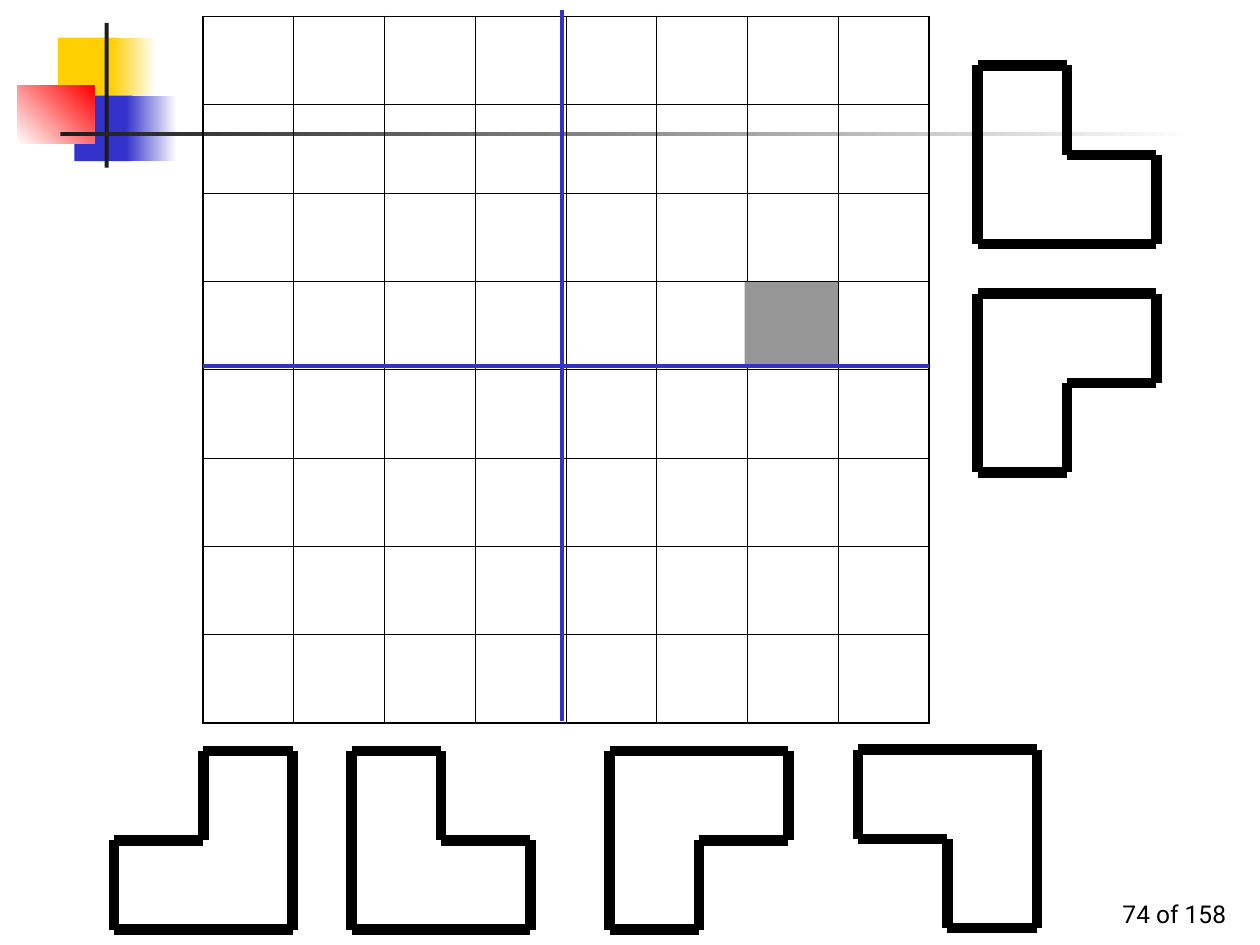
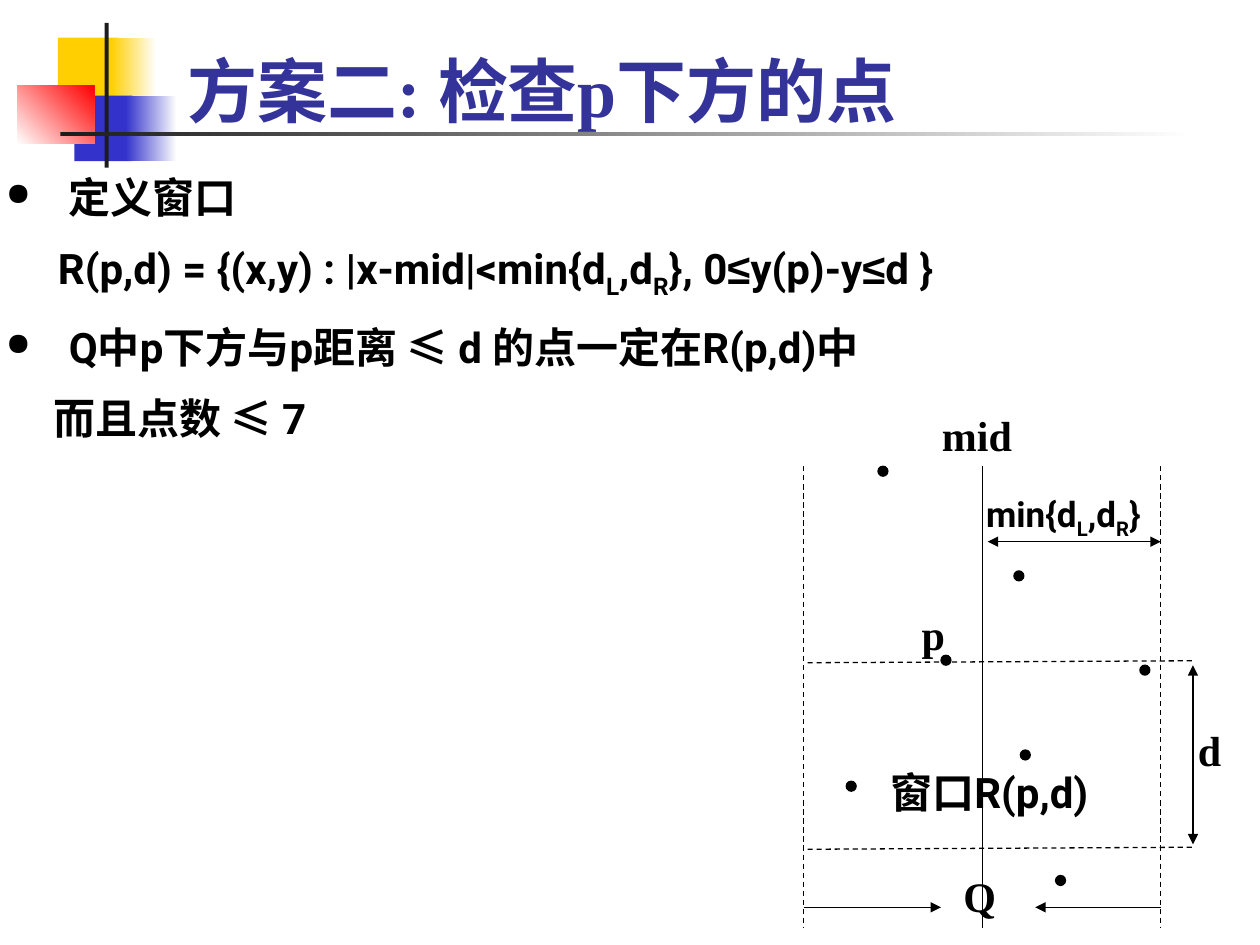
from lxml.etree import SubElement
from pptx import Presentation
from pptx.dml.color import RGBColor
from pptx.enum.dml import MSO_LINE
from pptx.enum.shapes import MSO_CONNECTOR, MSO_SHAPE
from pptx.enum.text import MSO_ANCHOR as Anchor, PP_ALIGN as Align
from pptx.oxml.ns import qn
from pptx.util import Cm, Pt

BLACK = RGBColor(0x00, 0x00, 0x00)
WHITE = RGBColor(0xFF, 0xFF, 0xFF)
YELLOW = RGBColor(0xFF, 0xCF, 0x01)
BLUE = RGBColor(0x33, 0x33, 0xCC)
RED = RGBColor(0xFF, 0x00, 0x00)
CHARCOAL = RGBColor(0x1C, 0x1C, 0x1C)
GRAY = RGBColor(0x96, 0x96, 0x96)
TITLE_BLUE = RGBColor(0x33, 0x33, 0x99)

SANS, SERIF, SYMBOL = "Roboto", "Times New Roman", "Arial"
SUBSCRIPTS = ("L", "R")

GRID = 8
CELL_WIDTH, CELL_HEIGHT = 1.83, 1.78
TROMINO_UNIT = 1.8
TOP_LEFT, TOP_RIGHT, BOTTOM_RIGHT, BOTTOM_LEFT = range(4)
TROMINOES = [
    (2.3, 15.14, TOP_LEFT),
    (7.09, 15.14, TOP_RIGHT),
    (12.29, 15.14, BOTTOM_RIGHT),
    (17.3, 15.11, BOTTOM_LEFT),
    (19.71, 5.92, BOTTOM_RIGHT),
    (19.71, 1.32, TOP_RIGHT),
]

DOT_SIZE = 0.2
WINDOW_POINTS = [
    (0.86, 6.35), (2.77, 3.81), (5.08, 8.25), (1.5, 0),
    (4.24, 2.11), (6.78, 4.01), (4.37, 5.72),
]
WINDOW_LABELS = [
    (2.97, 8.02, 1.37, ["Q"], SERIF, 24),
    (2.54, -1.27, 2.13, ["mid"], SERIF, 24),
    (7.7, 5.08, 1.19, ["d"], SERIF, 24),
    (2.13, 2.74, 1.19, ["p"], SERIF, 24),
    (3.43, 0.41, 4.04, ["min{d", "L", ",d", "R", "}"], SANS, 20),
    (1.5, 5.92, 4.85, ["窗口R(p,d)"], SANS, 24),
]
DEFINITION = [
    (None, ["定义窗口"]),
    (1.05, ["R(p,d) = {(x,y) : |x-mid|<min{d", "L", ",d", "R", "}, 0", "≤",
            "y(p)-y", "≤", "d }"]),
    (None, ["Q中p下方与p距离 ", "≤ ", "d 的点一定在R(p,d)中"]),
    (0.95, ["而且点数 ", "≤ ", "7"]),
]


def add_block(page, left, top, width, height, color, fade_to=None, angle=0,
              kind=MSO_SHAPE.RECTANGLE):
    """Add a borderless shape, plain or fading into a second colour."""
    block = page.shapes.add_shape(kind, Cm(left), Cm(top), Cm(width), Cm(height))
    block.shadow.inherit = False
    block.line.fill.background()
    if fade_to is None:
        block.fill.solid()
        block.fill.fore_color.rgb = color
    else:
        block.fill.gradient()
        block.fill.gradient_angle = angle
        for stop, shade in zip(block.fill.gradient_stops, (color, fade_to)):
            stop.color.rgb = shade
    return block


def add_line(shapes, start, end, color=BLACK, weight=0.75, dashed=False,
             head=False, tail=False):
    """Add a straight line with optional dashes and arrowheads."""
    line = shapes.add_connector(MSO_CONNECTOR.STRAIGHT,
                                *(Cm(value) for value in (*start, *end)))
    line.line.color.rgb = color
    line.line.width = Pt(weight)
    if dashed:
        line.line.dash_style = MSO_LINE.DASH
    properties = line._element.spPr
    for tag, wanted in (("a:headEnd", head), ("a:tailEnd", tail)):
        if wanted:
            SubElement(properties.find(qn("a:ln")), qn(tag), type="triangle")
    SubElement(properties, qn("a:effectLst"))


def add_box(page, left, top, width, height, anchor=Anchor.TOP):
    """Add an empty wrapping text box and return its frame."""
    box = page.shapes.add_textbox(Cm(left), Cm(top), Cm(width), Cm(height))
    box.text_frame.word_wrap = True
    box.text_frame.vertical_anchor = anchor
    return box.text_frame


def write(para, pieces, name, size, color=BLACK, bold=True):
    """Fill a paragraph, lowering index letters and setting ≤ in its own font."""
    para.font.name = name
    para.font.size = Pt(size)
    para.font.bold = bold
    para.font.color.rgb = color
    for piece in pieces:
        span = para.add_run()
        span.text = piece
        if piece in SUBSCRIPTS:
            span._r.get_or_add_rPr().set("baseline", "-25000")
        if piece.startswith("≤"):
            span.font.name = SYMBOL


def add_emblem(page):
    """Draw the coloured squares and crossing bars every slide carries."""
    add_block(page, 1.17, 0.76, 1.22, 1.32, YELLOW)
    add_block(page, 2.24, 0.76, 0.91, 1.32, YELLOW, WHITE)
    add_block(page, 1.5, 1.93, 1.17, 1.32, BLUE)
    add_block(page, 2.54, 1.93, 1.02, 1.32, BLUE, WHITE)
    add_block(page, 0.35, 1.73, 1.55, 1.17, WHITE, RED, 45)
    add_block(page, 2.11, 0.46, 0.08, 2.92, CHARCOAL)
    add_block(page, 1.22, 2.66, 22.86, 0.08, CHARCOAL, WHITE)


def set_borders(cell, row, column):
    """Give a cell thin borders, thicker along the edge of the board."""
    edges = {"L": column == 0, "R": column == GRID - 1,
             "T": row == 0, "B": row == GRID - 1}
    properties = cell._tc.get_or_add_tcPr()
    for side, outer in edges.items():
        border = SubElement(properties, qn(f"a:ln{side}"),
                            w=str(Pt(1.08 if outer else 0.45)))
        fill = SubElement(border, qn("a:solidFill"))
        SubElement(fill, qn("a:srgbClr"), val=str(BLACK))


def add_board(page, left, top):
    """Draw the chessboard, its special square and the halving lines."""
    width, height = GRID * CELL_WIDTH, GRID * CELL_HEIGHT
    table = page.shapes.add_table(GRID, GRID, Cm(left), Cm(top),
                                  Cm(width), Cm(height)).table
    table.first_row = table.horz_banding = False
    for column in table.columns:
        column.width = Cm(CELL_WIDTH)
    for row_index, row in enumerate(table.rows):
        row.height = Cm(CELL_HEIGHT)
        for column_index, cell in enumerate(row.cells):
            set_borders(cell, row_index, column_index)
            cell.fill.background()
    middle_x, middle_y = left + 7.23, top + 7.04
    add_line(page.shapes, (middle_x, top - 0.13), (middle_x, top + 14.2), BLUE, 2.25)
    add_block(page, left + 10.92, top + 5.36, 1.88, 1.73, GRAY)
    add_line(page.shapes, (left, middle_y), (left + width, middle_y), BLUE, 2.25)


def add_tromino(page, left, top, missing):
    """Outline a two by two square that lacks one corner cell."""
    corners = [(0, 0), (2, 0), (2, 2), (0, 2)]
    before, corner, after = (corners[(missing + step) % 4] for step in (-1, 0, 1))
    notch = [tuple((a + b) / 2 for a, b in zip(corner, other))
             for other in (before, after)]
    outline = corners[:missing] + [notch[0], (1, 1), notch[1]] + corners[missing + 1:]
    points = [(left + x * TROMINO_UNIT, top + y * TROMINO_UNIT) for x, y in outline]
    group = page.shapes.add_group_shape()
    for start, end in zip(points, points[1:] + points[:1]):
        add_line(group.shapes, start, end, weight=6)


def add_page_number(page, text):
    """Write the page count in the lower right corner."""
    para = add_box(page, 19.69, 17.58, 5.28, 1.27, Anchor.BOTTOM).paragraphs[0]
    para.alignment = Align.RIGHT
    write(para, [text], SANS, 14, bold=False)


def add_title(page, text):
    """Write the slide title above the long bar."""
    frame = add_box(page, 3.53, 0.43, 21.64, 2.34, Anchor.BOTTOM)
    write(frame.paragraphs[0], [text], SERIF, 40, TITLE_BLUE)


def add_definition(page, left, top):
    """Write the bulleted definition with its indented follow-up lines."""
    frame = add_box(page, left, top, 24.08, 5.74)
    for index, (indent, pieces) in enumerate(DEFINITION):
        para = frame.add_paragraph() if index else frame.paragraphs[0]
        properties = para._p.get_or_add_pPr()
        if indent is None:
            properties.set("marL", str(Cm(1.27)))
            properties.set("indent", str(Cm(-1.27)))
            color = SubElement(properties, qn("a:buClr"))
            SubElement(color, qn("a:srgbClr"), val=str(BLACK))
            SubElement(properties, qn("a:buSzPct"), val="75000")
            SubElement(properties, qn("a:buChar"), char="●")
        else:
            properties.set("marL", str(Cm(indent)))
            properties.set("indent", "0")
        para.space_before = Pt(6 if index else 0)
        para.space_after = Pt(6)
        write(para, pieces, SANS, 24)


def add_window(page, left, top, width, height):
    """Draw the strip around mid with its points, window and measures."""
    def line(start, end, **style):
        add_line(page.shapes, (left + start[0], top + start[1]),
                 (left + end[0], top + end[1]), **style)

    for x in (0, width):
        line((x, 0), (x, height), dashed=True)
    line((width / 2, 0), (width / 2, height))
    for y in (3.96, 7.72):
        line((0.08, y), (7.87, y - 0.04), dashed=True)
    line((0, 8.89), (2.77, 8.89), tail=True)
    line((width, 8.89), (4.67, 8.89), tail=True)
    line((7.85, 7.62), (7.85, 4.01), head=True, tail=True)
    line((width, 1.52), (3.71, 1.52), head=True, tail=True)
    for x, y in WINDOW_POINTS:
        dot = add_block(page, left + x, top + y, DOT_SIZE, DOT_SIZE, BLACK,
                        kind=MSO_SHAPE.OVAL)
        dot.line.color.rgb = BLACK
        dot.line.width = Pt(0.75)
    for x, y, label_width, pieces, name, size in WINDOW_LABELS:
        frame = add_box(page, left + x, top + y, label_width, 1.27)
        write(frame.paragraphs[0], pieces, name, size)


def build_board_slide(page):
    """Show the board surrounded by trominoes."""
    add_emblem(page)
    add_page_number(page, "74 of 158")
    add_board(page, 4.09, 0.33)
    for left, top, missing in TROMINOES:
        add_tromino(page, left, top, missing)


def build_window_slide(page):
    """Show the search window below a point."""
    add_emblem(page)
    add_title(page, "方案二: 检查p下方的点")
    add_definition(page, -0.13, 3.33)
    add_window(page, 16.2, 9.4, 7.2, 9.3)


def main():
    """Build and save the deck."""
    deck = Presentation()
    deck.slide_width, deck.slide_height = Cm(25.4), Cm(19.05)
    for build in (build_board_slide, build_window_slide):
        build(deck.slides.add_slide(deck.slide_layouts[6]))
    deck.save("out.pptx")


if __name__ == "__main__":
    main()
